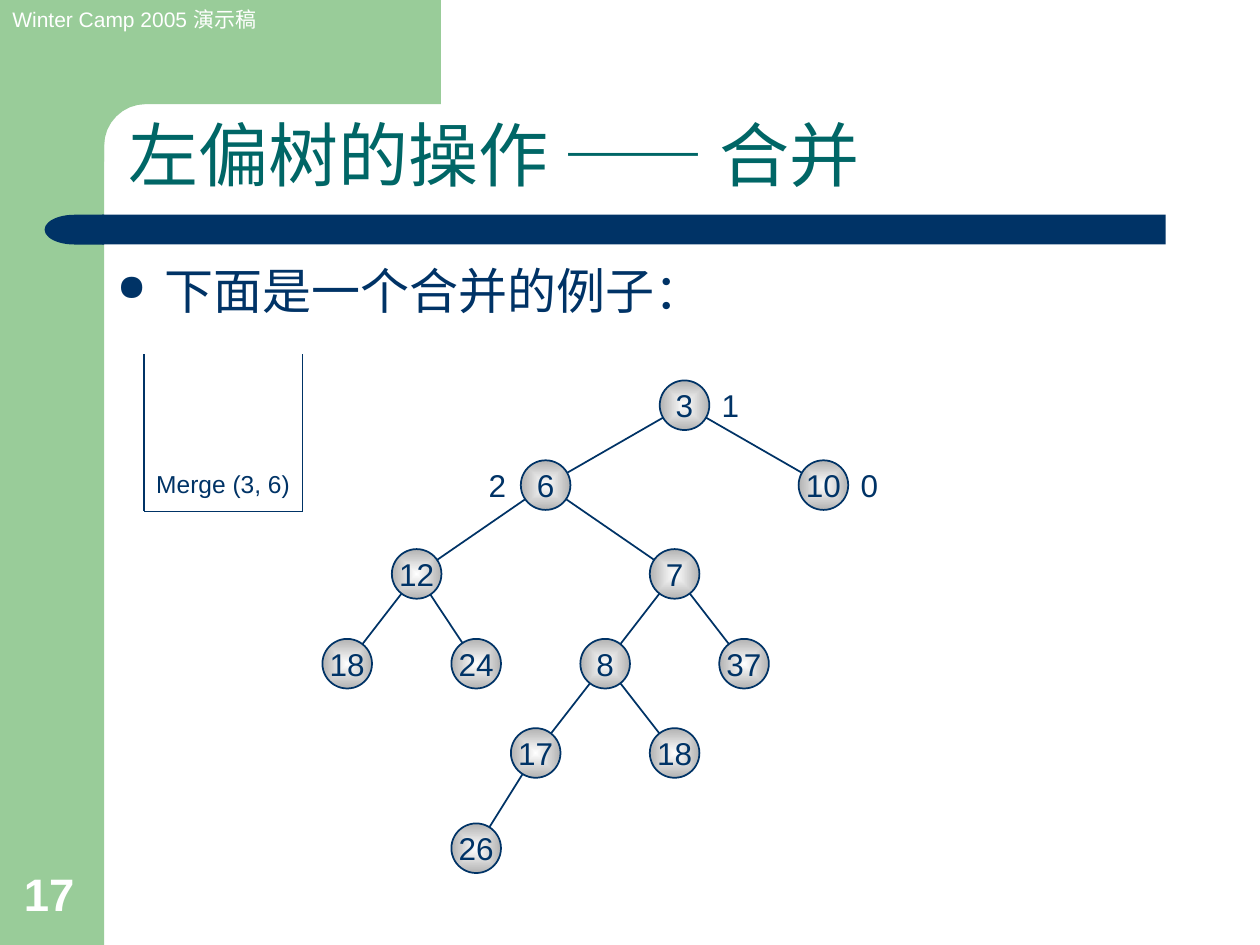
from math import cos, sin, pi
from lxml.etree import SubElement
from pptx import Presentation
from pptx.dml.color import RGBColor
from pptx.enum.shapes import MSO_CONNECTOR, MSO_SHAPE
from pptx.enum.text import MSO_ANCHOR, MSO_AUTO_SIZE, PP_ALIGN
from pptx.oxml.ns import qn
from pptx.util import Inches, Mm, Pt

HUE = {k: RGBColor.from_string(v) for k, v in {
    "green": "99CC99", "navy": "003366", "teal": "006666",
    "white": "FFFFFF", "gray": "B2B2B2"}.items()}
UNIT = Mm(2)
CJK = "Noto Sans CJK SC"
TOP, MID, LOW = MSO_ANCHOR.TOP, MSO_ANCHOR.MIDDLE, MSO_ANCHOR.BOTTOM
LEFT, MIDST = PP_ALIGN.LEFT, PP_ALIGN.CENTER


def grid(*cells):
    return [int(c * UNIT) for c in cells]


def write(shape, runs, size, hue, anchor=TOP, align=LEFT, wrap=True, bold=False):
    frame = shape.text_frame
    form = {"auto_size": MSO_AUTO_SIZE.NONE, "word_wrap": wrap,
            "vertical_anchor": anchor}
    for key, val in form.items():
        setattr(frame, key, val)
    para = frame.paragraphs[0]
    para.alignment = align
    for text, face in runs:
        run = para.add_run()
        run.text = text
        for key, val in {"name": face, "size": Pt(size), "bold": bold}.items():
            setattr(run.font, key, val)
        run.font.color.rgb = HUE[hue]
        SubElement(run.font._element, qn("a:ea")).set("typeface", CJK)
    return para


deck = Presentation()
deck.slide_width, deck.slide_height = Inches(10), Inches(7.5)
slide = deck.slides.add_slide(deck.slide_layouts[5])
shapes = slide.shapes

turn, rad = 14.7, 4.2
arc = [(turn - rad * sin(i * pi / 16), turn - rad * cos(i * pi / 16))
       for i in range(9)]
edge = [(44.45, 0), (44.45, turn - rad), *arc, (10.5, 16.3), (6.35, 16.3), (6.35, 0)]
pen = shapes.build_freeform(*grid(*edge[0]))
pen.add_line_segments([grid(*p) for p in edge[1:]], close=True)
side = shapes.add_shape(MSO_SHAPE.RECTANGLE, *grid(0, 0, 10.5, 95.25))
bar = shapes.add_shape(MSO_SHAPE.RECTANGLE, *grid(10.3, 21.65, 107.2, 3))
cap = shapes.add_shape(MSO_SHAPE.FLOWCHART_DELAY, *grid(4.5, 21.65, 6, 3))
cap._element.spPr.find(qn("a:xfrm")).set("flipH", "1")
for shape, hue in [(side, "green"), (pen.convert_to_shape(), "green"),
                   (bar, "navy"), (cap, "navy")]:
    shape.shadow.inherit = False
    shape.fill.solid()
    shape.fill.fore_color.rgb = HUE[hue]
    shape.line.fill.background()

title = shapes.title
place = dict(zip(("left", "top", "width", "height"), grid(11.7, 11.8, 105.7, 8.65)))
for key, val in place.items():
    setattr(title, key, val)
para = write(title, [("左偏树的操作 ", "Arial"), ("——", CJK), (" 合并", "Arial")],
             40, "teal", LOW)
para.line_spacing = 0.9

body = shapes.add_textbox(*grid(10.55, 25.65, 107, 62))
para = write(body, [("下面是一个合并的例子：", "Arial")], 28, "navy")
props = para._p.get_or_add_pPr()
props.set("marL", str(Inches(0.38)))
props.set("indent", str(-Inches(0.38)))
SubElement(props, qn("a:buSzPct")).set("val", "75000")
SubElement(props, qn("a:buChar")).set("char", "●")

notes = [
    ("Winter Camp 2005 演示稿", (0, 0, 29, 3.8), 12, "white", TOP, LEFT, True, False),
    ("17", (1.15, 86.75, 8.1, 6.7), 26, "white", LOW, LEFT, True, True),
    ("Merge (3, 6)", (14.5, 37.7, 16, 13.2), 14, "navy", LOW, LEFT, False, False),
    ("2", (48, 46.35, 4.1, 5.1), 18, "navy", TOP, MIDST, True, False),
    ("0", (85.5, 46.35, 4.1, 5.1), 18, "navy", TOP, MIDST, True, False),
    ("1", (71.5, 38.25, 4, 5.1), 18, "navy", TOP, LEFT, True, False),
]
for text, box, *form in notes:
    write(shapes.add_textbox(*grid(*box)), [(text, "Arial")], *form)

rows = [40.85, 48.9, 57.85, 66.9, 75.9, 85.5]
tree = [("3", 69, 0, None), ("6", 55, 1, 0), ("10", 83, 1, 0), ("12", 42, 2, 1),
        ("7", 68, 2, 1), ("18", 35, 3, 3), ("24", 48, 3, 3), ("8", 61, 3, 4),
        ("37", 75, 3, 4), ("17", 54, 4, 7), ("18", 68, 4, 7), ("26", 48, 5, 9)]
spots = [(col, rows[row]) for _, col, row, _ in tree]
stack = [(14.5, 35.7), (14.5, 51.55), (30.5, 51.55), (30.5, 35.7)]
lines = [(*a, *b, 0.75) for a, b in zip(stack, stack[1:])]
lines += [(*spots[up], *spot, 1) for spot, (*_, up) in zip(spots, tree)
          if up is not None]
for *ends, width in lines:
    line = shapes.add_connector(MSO_CONNECTOR.STRAIGHT, *grid(*ends))
    line.line.color.rgb = HUE["navy"]
    line.line.width = Pt(width)
    SubElement(line._element.spPr, qn("a:effectLst"))

size = 5
for (text, *_), (x, y) in zip(tree, spots):
    node = shapes.add_shape(MSO_SHAPE.OVAL,
                            *grid(x - size / 2, y - size / 2, size, size))
    node.shadow.inherit = False
    node.line.color.rgb = HUE["navy"]
    node.line.width = Pt(1)
    node.fill.gradient()
    for stop, hue in zip(node.fill.gradient_stops, ("white", "gray")):
        stop.color.rgb = HUE[hue]
    grad = node._element.spPr.find(qn("a:gradFill"))
    grad.remove(grad.find(qn("a:lin")))
    glow = SubElement(grad, qn("a:path"))
    glow.set("path", "rect")
    core = SubElement(glow, qn("a:fillToRect"))
    for key in "ltrb":
        core.set(key, "50000")
    write(node, [(text, "Arial")], 18, "navy", MID, MIDST, False)

deck.save("out.pptx")
